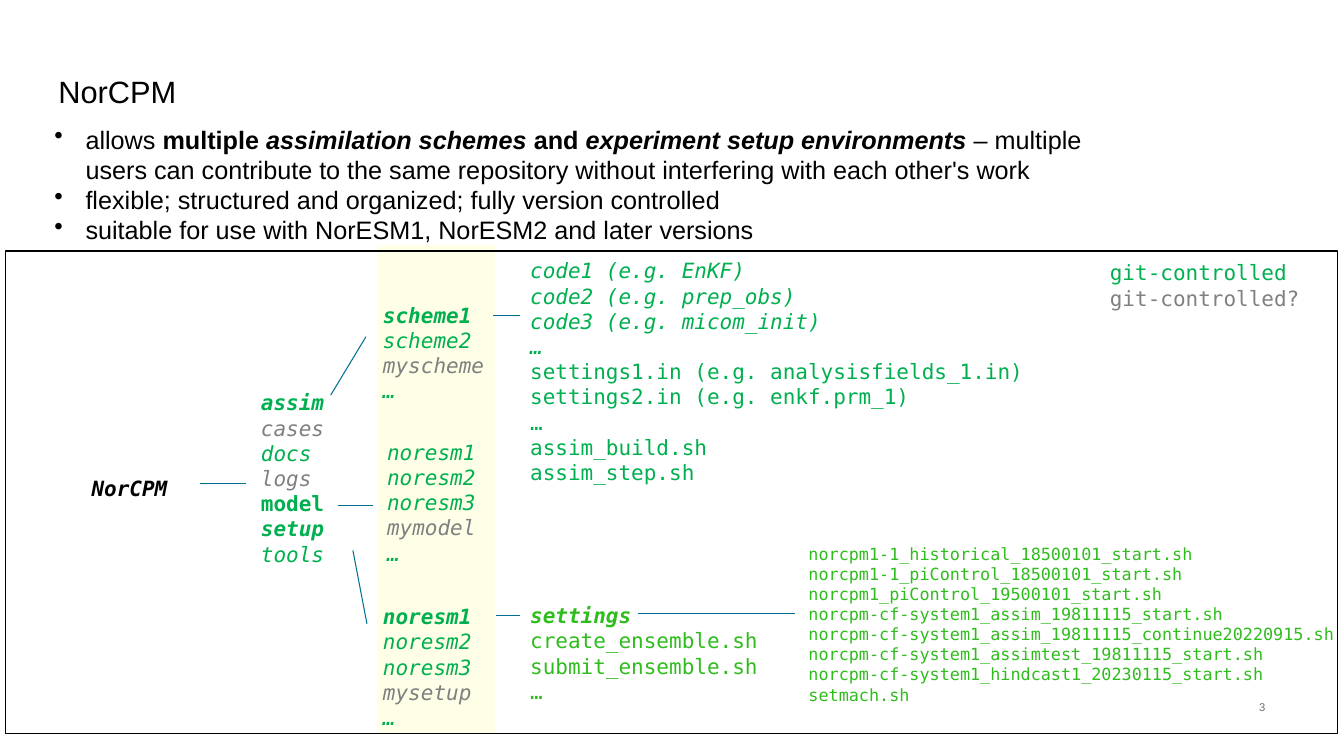
from dataclasses import dataclass

from lxml import etree
from pptx import Presentation
from pptx.dml.color import RGBColor
from pptx.enum.shapes import MSO_CONNECTOR, MSO_SHAPE
from pptx.enum.text import MSO_ANCHOR, MSO_AUTO_SIZE, PP_ALIGN
from pptx.oxml.ns import qn
from pptx.util import Inches, Pt


@dataclass(frozen=True)
class Theme:
    sans: str = "Arial"
    mono: str = "DejaVu Sans Mono"
    black: str = "000000"
    green: str = "00B050"
    lime: str = "2FBD1D"
    gray: str = "808080"
    link: str = "006F91"
    highlight: str = "FFFF00"
    number: str = "697078"
    title_size: int = 22
    body_size: int = 18
    code_size: int = 15
    file_size: int = 12
    number_size: int = 8
    line_width: float = 0.75


THEME = Theme()

# Run formats used in the directory tree
ACTIVE = dict(bold=True, italic=True)
FOLDER = dict(italic=True)
LOCAL = dict(italic=True, color=THEME.gray)
BOLD = dict(bold=True)


def rgb(value):
    return RGBColor.from_string(value)


def write(frame, paragraphs, align=PP_ALIGN.LEFT, bullet=False, **defaults):
    """Fill a frame; a paragraph is a string or a list of (text, format)."""
    for index, runs in enumerate(paragraphs):
        paragraph = frame.paragraphs[0] if index == 0 else frame.add_paragraph()
        paragraph.alignment = align
        if bullet:
            properties = paragraph._p.get_or_add_pPr()
            properties.set("marL", str(Inches(0.31)))
            properties.set("indent", str(Inches(-0.31)))
            etree.SubElement(properties, qn("a:buChar")).set("char", "•")
        for text, changes in [(runs, {})] if isinstance(runs, str) else runs:
            style = {**defaults, **changes}
            run = paragraph.add_run()
            run.text = text
            run.font.name = style["font"]
            run.font.size = Pt(style["size"])
            run.font.color.rgb = rgb(style["color"])
            run.font.bold = style.get("bold", False)
            run.font.italic = style.get("italic", False)


def set_margins(frame, margin):
    frame.margin_left = frame.margin_right = Inches(margin)
    frame.margin_top = frame.margin_bottom = Inches(margin)


def add_text(slide, box, paragraphs, wrap=True, margin=None,
             anchor=MSO_ANCHOR.TOP, **style):
    frame = slide.shapes.add_textbox(*map(Inches, box)).text_frame
    frame.word_wrap = wrap
    frame.auto_size = MSO_AUTO_SIZE.SHAPE_TO_FIT_TEXT
    frame.vertical_anchor = anchor
    if margin is not None:
        set_margins(frame, margin)
    write(frame, paragraphs, **style)


def add_rectangle(slide, box, fill=None, opacity=100, line=None):
    shape = slide.shapes.add_shape(MSO_SHAPE.RECTANGLE, *map(Inches, box))
    shape.shadow.inherit = False
    if fill:
        shape.fill.solid()
        shape.fill.fore_color.rgb = rgb(fill)
        color = shape._element.spPr.find(qn("a:solidFill"))[0]
        etree.SubElement(color, qn("a:alpha")).set("val", str(opacity * 1000))
    else:
        shape.fill.background()
    if line:
        shape.line.color.rgb = rgb(line)
        shape.line.width = Pt(THEME.line_width)
    else:
        shape.line.fill.background()


def add_link(slide, start, end):
    connector = slide.shapes.add_connector(
        MSO_CONNECTOR.STRAIGHT, *map(Inches, start + end))
    connector.line.color.rgb = rgb(THEME.link)
    connector.line.width = Pt(THEME.line_width)
    etree.SubElement(connector._element.spPr, qn("a:effectLst"))


def build_title(slide, box):
    title = slide.shapes.title
    title.left, title.top, title.width, title.height = map(Inches, box)
    frame = title.text_frame
    set_margins(frame, 0)
    frame.vertical_anchor = MSO_ANCHOR.BOTTOM
    write(frame, ["NorCPM"], font=THEME.sans, size=THEME.title_size,
          color=THEME.black)


def build_bullets(slide, box):
    add_text(slide, box, [
        [("allows ", {}), ("multiple ", BOLD), ("assimilation schemes", ACTIVE),
         (" and ", BOLD), ("experiment setup environments", ACTIVE),
         (" – ", {}),
         ("multiple users can contribute to the same repository without "
          "interfering with each other's work", {})],
        "flexible; structured and organized; fully version controlled",
        "suitable for use with NorESM1, NorESM2 and later versions",
    ], bullet=True, font=THEME.sans, size=THEME.body_size, color=THEME.black)


def build_tree(slide, box):
    left, top, width, height = box

    def listing(x, y, w, h, entries, wrap=False, size=THEME.code_size,
                color=THEME.green):
        paragraphs = [entry if isinstance(entry, str) else [entry]
                      for entry in entries]
        add_text(slide, (left + x, top + y, w, h), paragraphs, wrap=wrap,
                 font=THEME.mono, size=size, color=color)

    # Frame and highlighted column
    add_rectangle(slide, (left + 3.69, top - 0.06, 1.17, height + 0.06),
                  fill=THEME.highlight, opacity=9)
    add_rectangle(slide, box, line=THEME.black)

    # Root and first level
    listing(0.76, 2.18, 0.96, 0.35, [("NorCPM", ACTIVE)], color=THEME.black)
    listing(2.44, 1.33, 0.83, 2.17, [
        ("assim", ACTIVE), ("cases", LOCAL), ("docs", FOLDER), ("logs", LOCAL),
        ("model", BOLD), ("setup", ACTIVE), ("tools", FOLDER)])

    # Second level: assim, model and setup
    listing(3.65, 0.46, 1.21, 1.11, [
        ("scheme1", ACTIVE), ("scheme2", FOLDER), ("myscheme", LOCAL),
        ("…", FOLDER)])
    for x, y, first, own in [(3.69, 1.82, FOLDER, "mymodel"),
                             (3.65, 3.45, ACTIVE, "mysetup")]:
        listing(x, y, 1.09, 1.36, [
            ("noresm1", first), ("noresm2", FOLDER), ("noresm3", FOLDER),
            (own, LOCAL), ("…", FOLDER)])

    # Third level: contents of a scheme and of a setup
    listing(5.11, 0.02, 5.49, 2.41, [
        ("code1 (e.g. EnKF)", FOLDER), ("code2 (e.g. prep_obs)", FOLDER),
        ("code3 (e.g. micom_init)", FOLDER), ("…", FOLDER),
        "settings1.in (e.g. analysisfields_1.in)",
        "settings2.in (e.g. enkf.prm_1)", "…",
        "assim_build.sh", "assim_step.sh"], wrap=True)
    listing(5.11, 3.44, 3.58, 1.11, [
        ("settings", ACTIVE), "create_ensemble.sh", "submit_ensemble.sh", "…"],
        wrap=True, color=THEME.lime)

    # Fourth level: settings files
    listing(7.87, 2.85, 5.49, 1.72, [
        "norcpm1-1_historical_18500101_start.sh",
        "norcpm1-1_piControl_18500101_start.sh",
        "norcpm1_piControl_19500101_start.sh",
        "norcpm-cf-system1_assim_19811115_start.sh",
        "norcpm-cf-system1_assim_19811115_continue20220915.sh",
        "norcpm-cf-system1_assimtest_19811115_start.sh",
        "norcpm-cf-system1_hindcast1_20230115_start.sh",
        "setmach.sh"], size=THEME.file_size, color=THEME.lime)

    # Legend
    listing(width - 2.36, 0.04, 2.37, 0.86, [
        "git-controlled", ("git-controlled?", dict(color=THEME.gray))],
        wrap=True)

    # Links between levels
    for x1, y1, x2, y2 in [
            (1.93, 2.31, 2.39, 2.31), (3.23, 1.43, 3.58, 0.85),
            (3.3, 2.53, 3.65, 2.53), (3.45, 2.97, 3.59, 3.7),
            (4.84, 0.64, 5.11, 0.64), (4.87, 3.62, 5.11, 3.62),
            (6.28, 3.6, 7.84, 3.6)]:
        add_link(slide, (left + x1, top + y1), (left + x2, top + y2))


def build_page_number(slide, box):
    add_text(slide, box, ["3"], margin=0, anchor=MSO_ANCHOR.MIDDLE,
             align=PP_ALIGN.RIGHT, font=THEME.sans, size=THEME.number_size,
             color=THEME.number)


def main():
    presentation = Presentation()
    presentation.slide_width = Inches(13.33)
    presentation.slide_height = Inches(7.5)
    slide = presentation.slides.add_slide(presentation.slide_layouts[5])
    build_title(slide, (0.58, 0.72, 12.69, 0.37))
    build_bullets(slide, (0.44, 1.18, 10.84, 1.31))
    build_tree(slide, (0.05, 2.49, 13.22, 4.79))
    build_page_number(slide, (9.48, 6.95, 3.07, 0.13))
    presentation.save("out.pptx")


if __name__ == "__main__":
    main()
